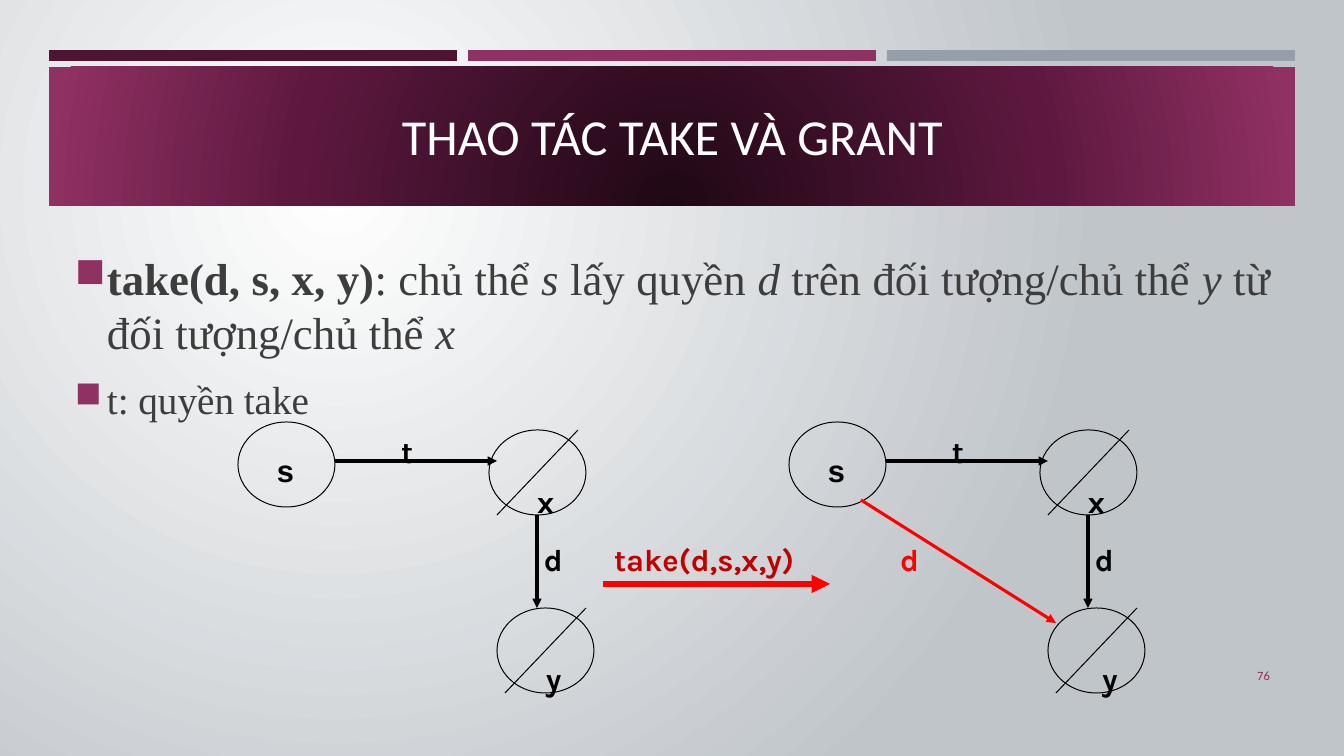
from dataclasses import dataclass

from lxml.etree import SubElement
from pptx import Presentation
from pptx.dml.color import RGBColor
from pptx.enum.shapes import MSO_CONNECTOR, MSO_SHAPE
from pptx.enum.text import MSO_ANCHOR, PP_ALIGN
from pptx.oxml.ns import qn
from pptx.util import Emu, Pt

SCALE = 9144000 / 1008


@dataclass(frozen=True)
class Theme:
    """Colours, fonts and type sizes of the slide."""
    plum: str = "903163"
    dark_plum: str = "4D1434"
    grey: str = "969FA7"
    ink: str = "3D3D3D"
    black: str = "000000"
    white: str = "FFFFFF"
    red: str = "FF0000"
    dark_red: str = "C00000"
    backdrop: tuple = ((0, "FFFFFF"), (100, "C0C5CA"))
    banner: tuple = ((0, "1F0815"), (60, "5D183F"), (100, "903163"))
    heading_font: str = "Calibri"
    body_font: str = "Times New Roman"
    label_font: str = "Karla"
    subject_font: str = "Arial"
    title_size: int = 36
    body_size: int = 32
    note_size: int = 28
    label_size: int = 22
    number_size: int = 9
    thin: float = 0.72
    arrow: float = 2.2
    thick: float = 4.4


THEME = Theme()


def px(*lengths):
    """Turn pixel lengths into EMU."""
    return [Emu(round(length * SCALE)) for length in lengths]


def apply(target, values):
    """Set each named attribute on the target."""
    for name, value in values.items():
        setattr(target, name, value)


def style(span, font, size, color, bold=False, italic=False):
    """Format the font of a run."""
    apply(span.font, dict(name=font, size=Pt(size), bold=bold, italic=italic))
    span.font.color.rgb = RGBColor.from_string(color)


def radial_gradient(fill, owner, stops, focus):
    """Give a fill a circular gradient with the stops and focus rectangle."""
    fill.gradient()
    gradient = owner.find(".//" + qn("a:gradFill"))
    for child in list(gradient):
        gradient.remove(child)
    stop_list = SubElement(gradient, qn("a:gsLst"))
    for position, color in stops:
        stop = SubElement(stop_list, qn("a:gs"), pos=str(position * 1000))
        SubElement(stop, qn("a:srgbClr"), val=color)
    circle = SubElement(gradient, qn("a:path"), path="circle")
    sides = {side: str(share * 1000) for side, share in zip("ltrb", focus)}
    SubElement(circle, qn("a:fillToRect"), **sides)


def add_bar(page, area, color):
    """Add a borderless rectangle."""
    bar = page.shapes.add_shape(MSO_SHAPE.RECTANGLE, *px(*area))
    bar.shadow.inherit = False
    bar.fill.solid()
    bar.fill.fore_color.rgb = RGBColor.from_string(color)
    bar.line.fill.background()
    return bar


def add_box(page, area, inset=(10, 5), anchor=MSO_ANCHOR.TOP, wrap=True):
    """Add an empty text box and return its text frame."""
    frame = page.shapes.add_textbox(*px(*area)).text_frame
    side, end = px(*inset)
    apply(frame, dict(margin_left=side, margin_right=side, margin_top=end,
                      margin_bottom=end, vertical_anchor=anchor, word_wrap=wrap))
    return frame


def add_line_of_text(page, area, text, alignment, font, size, color):
    """Add one vertically centred line of text."""
    para = add_box(page, area, anchor=MSO_ANCHOR.MIDDLE).paragraphs[0]
    para.alignment = alignment
    span = para.add_run()
    span.text = text
    style(span, font, size, color)


def add_label(page, left, top, text, color=THEME.black, font=THEME.label_font, width=26):
    """Add a bold diagram label."""
    frame = add_box(page, (left, top, width, 39), inset=(0, 0), wrap=False)
    para = frame.paragraphs[0]
    apply(para, dict(line_spacing=1.07, space_after=Pt(8)))
    span = para.add_run()
    span.text = text
    style(span, font, THEME.label_size, color, bold=True)


def add_bullet(para, spans, size, space_before):
    """Fill a paragraph with a square bullet and (text, bold, italic) spans."""
    indent = px(32)[0]
    properties = para._p.get_or_add_pPr()
    properties.set("marL", str(indent))
    properties.set("indent", str(-indent))
    bullet_color = SubElement(properties, qn("a:buClr"))
    SubElement(bullet_color, qn("a:srgbClr"), val=THEME.plum)
    SubElement(properties, qn("a:buSzPct"), val="92000")
    SubElement(properties, qn("a:buChar"), char="■")
    apply(para, dict(alignment=PP_ALIGN.JUSTIFY, space_before=Pt(space_before),
                     space_after=Pt(6)))
    for text, bold, italic in spans:
        span = para.add_run()
        span.text = text
        style(span, THEME.body_font, size, THEME.ink, bold, italic)


def add_stroke(page, start, end, color=THEME.black, width=THEME.thin, arrow=False):
    """Add a straight line, with an arrowhead at its end if asked."""
    stroke = page.shapes.add_connector(MSO_CONNECTOR.STRAIGHT, *px(*start, *end))
    stroke.line.width = Pt(width)
    stroke.line.color.rgb = RGBColor.from_string(color)
    if arrow:
        SubElement(stroke.line._get_or_add_ln(), qn("a:tailEnd"), type="triangle")
    SubElement(stroke._element.spPr, qn("a:effectLst"))


def add_node(page, left, top, crossed=True):
    """Add an outlined node, crossed out when it may be an object."""
    node = page.shapes.add_shape(MSO_SHAPE.OVAL, *px(left, top, 97, 85))
    node.shadow.inherit = False
    node.fill.background()
    node.line.width = Pt(THEME.thin)
    node.line.color.rgb = RGBColor.from_string(THEME.black)
    if crossed:
        add_stroke(page, (left + 89, top), (left + 8, top + 85))


def add_graph(page, left, y_label):
    """Add the s, x, y protection graph with its t and d edges."""
    add_node(page, left, 422, crossed=False)
    add_node(page, left + 251, 430)
    add_node(page, left + 259, 608)
    add_label(page, left + 39, 449, "s", font=THEME.subject_font)
    add_label(page, left + 299, 480, "x")
    add_label(page, left + y_label, 657, "y")
    add_label(page, left + 163, 430, "t")
    add_label(page, left + 306, 538, "d")
    for start, end in (((97, 461), (259, 461)), ((299, 515), (299, 608))):
        add_stroke(page, (left + start[0], start[1]), (left + end[0], end[1]),
                   width=THEME.arrow, arrow=True)


def add_header(page):
    """Add the three stripes, the banner and the title."""
    for index, color in enumerate((THEME.dark_plum, THEME.plum, THEME.grey)):
        add_bar(page, (49 + 419 * index, 50, 408, 11), color)
    banner = add_bar(page, (49, 67, 1246, 139), THEME.plum)
    radial_gradient(banner.fill, banner._element, THEME.banner, (50, 130, 50, -30))
    add_line_of_text(page, (65, 81, 1215, 109), "THAO TÁC TAKE VÀ GRANT",
                     PP_ALIGN.CENTER, THEME.heading_font, THEME.title_size, THEME.white)


def add_definition(page):
    """Add the two bullets that define the take operation."""
    frame = add_box(page, (65, 246, 1215, 463))
    add_bullet(frame.paragraphs[0], (
        ("take(d, s, x, y)", True, False), (": chủ thể ", False, False),
        ("s ", False, True), ("lấy quyền ", False, False),
        ("d ", False, True), ("trên đối tượng/chủ thể ", False, False),
        ("y ", False, True), ("từ đối tượng/chủ thể ", False, False),
        ("x", False, True)), THEME.body_size, 0)
    add_bullet(frame.add_paragraph(), (("t: quyền take", False, False),),
               THEME.note_size, 6)


def main():
    """Build the slide and save it."""
    deck = Presentation()
    deck.slide_width, deck.slide_height = px(1344, 756)
    page = deck.slides.add_slide(deck.slide_layouts[6])
    radial_gradient(page.background.fill, page.element, THEME.backdrop, (50, 50, 100, 100))
    add_header(page)
    add_definition(page)
    add_line_of_text(page, (1164, 656, 116, 40), "76", PP_ALIGN.RIGHT,
                     THEME.heading_font, THEME.number_size, THEME.plum)
    add_graph(page, 238, y_label=308)
    add_graph(page, 789, y_label=313)
    add_stroke(page, (861, 500), (1056, 623), THEME.red, THEME.arrow, arrow=True)
    add_label(page, 900, 538, "d", THEME.red)
    add_stroke(page, (603, 584), (830, 584), THEME.red, THEME.thick, arrow=True)
    add_label(page, 614, 538, "take(d,s,x,y)", THEME.dark_red, width=261)
    deck.save("out.pptx")


if __name__ == "__main__":
    main()
